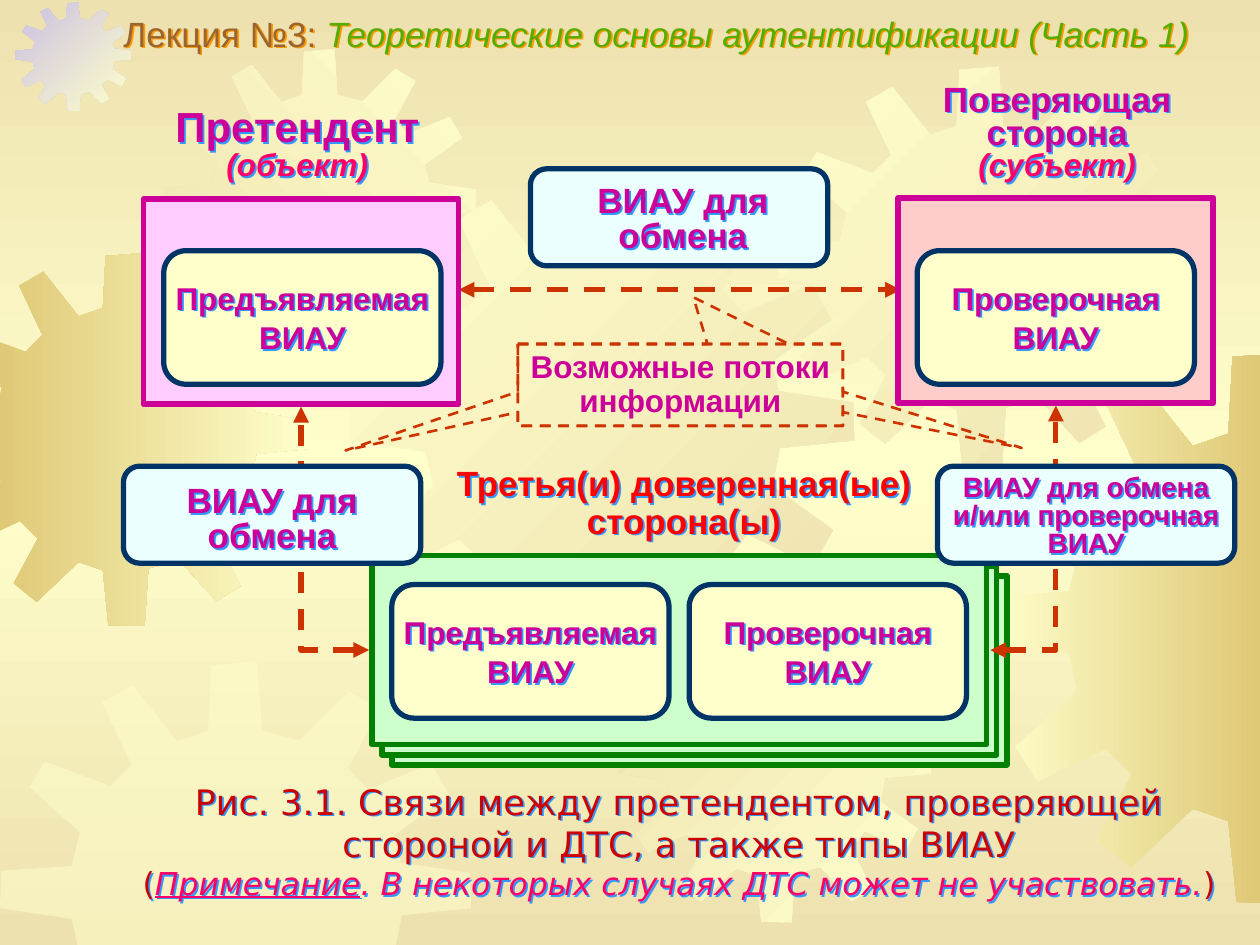
"""Builds the lecture slide on the links between the claimant, the verifier and the third party."""
import copy

import pptx
import pptx.dml.color
import pptx.enum.dml
import pptx.enum.shapes
import pptx.enum.text
import pptx.oxml
import pptx.oxml.ns
import pptx.util

Inches, Pt = pptx.util.Inches, pptx.util.Pt
RGB = pptx.dml.color.RGBColor
SHAPE = pptx.enum.shapes.MSO_SHAPE
LINK = pptx.enum.shapes.MSO_CONNECTOR
ANCHOR = pptx.enum.text.MSO_ANCHOR
ALIGN = pptx.enum.text.PP_ALIGN
qn = pptx.oxml.ns.qn

SAND, CREAM, GOLD = RGB(0xED, 0xE1, 0xAF), RGB(0xFF, 0xFF, 0xCC), RGB(0xDF, 0xC9, 0x77)
LILAC, ICE, MINT = RGB(0xCA, 0xC0, 0xE2), RGB(0xEB, 0xFF, 0xFF), RGB(0xCC, 0xFF, 0xCC)
PINK, ROSE = RGB(0xFF, 0xCC, 0xFF), RGB(0xFF, 0xCC, 0xCC)
PLUM, HOT, RED = RGB(0xCC, 0, 0x99), RGB(0xFF, 0, 0x66), RGB(0xFF, 0, 0)
WINE, RUST, BROWN = RGB(0xCC, 0, 0), RGB(0xCC, 0x33, 0), RGB(0x99, 0x66, 0x33)
GREEN, LEAF, NAVY = RGB(0, 0x80, 0), RGB(0x56, 0xAC, 0), RGB(0, 0x33, 0x66)
BLUE, AMBER = RGB(0x33, 0x99, 0xFF), RGB(0xFF, 0x99, 0)

GEAR_SIZE = 401
GEAR = [
    (255, 67), (223, 59), (219, 0), (180, 3), (177, 59), (151, 68), (113, 20), (87, 35),
    (112, 88), (94, 106), (38, 85), (25, 107), (68, 145), (61, 174), (1, 178), (0, 210),
    (61, 219), (67, 246), (22, 287), (38, 312), (88, 288), (107, 307), (81, 355), (106, 375),
    (151, 332), (177, 341), (183, 400), (222, 401), (226, 339), (259, 330), (299, 374), (325, 358),
    (299, 306), (316, 284), (368, 309), (384, 281), (336, 246), (342, 216), (401, 210), (400, 180),
    (341, 171), (335, 148), (383, 114), (367, 87), (313, 109), (296, 91), (323, 41), (297, 25),
]


def add_xml(parent, body):
    """Append a drawing element given as text."""
    space = pptx.oxml.ns.nsdecls("a")
    parent.append(pptx.oxml.parse_xml(body.replace(">", f" {space}>", 1)))


def blend(fill, colors, angle):
    """Give a fill a linear gradient, its angle counted clockwise."""
    fill.gradient()
    fill.gradient_angle = -angle % 360
    for stop, color in zip(fill.gradient_stops, colors):
        stop.color.rgb = color


def paint(slide):
    """Paint the background with a three-stop gradient."""
    fill = slide.background.fill
    fill.gradient()
    first = next(slide.element.iter(qn("a:gs")))
    middle = copy.deepcopy(first)
    middle.set("pos", "50000")
    first.addnext(middle)
    blend(fill, [SAND, CREAM, SAND], 90)


def clip(points, axis, limit, sign):
    """Cut a polygon at a limit on one axis, keeping the side named by the sign."""
    kept = []
    for a, b in zip(points[-1:] + points[:-1], points):
        da, db = sign * (a[axis] - limit), sign * (b[axis] - limit)
        if da * db < 0:
            part = da / (da - db)
            kept.append(tuple(p + part * (q - p) for p, q in zip(a, b)))
        if db >= 0:
            kept.append(b)
    return kept


def add_gear(slide, left, top, width, height, colors, angle=0):
    """Draw a gear trimmed to the slide edges."""
    points = [(left + x * width / GEAR_SIZE, top + y * height / GEAR_SIZE) for x, y in GEAR]
    for axis, limit, sign in [(0, 0, 1), (0, 10, -1), (1, 7.5, -1)]:
        points = clip(points, axis, limit, sign)
    points = [(Inches(x), Inches(y)) for x, y in points]
    pen = slide.shapes.build_freeform(*points[0])
    pen.add_line_segments(points[1:], close=True)
    gear = pen.convert_to_shape()
    gear.shadow.inherit = False
    gear.line.fill.background()
    if len(colors) > 1:
        blend(gear.fill, colors, angle)
    else:
        gear.fill.solid()
        gear.fill.fore_color.rgb = colors[0]
        tone = next(gear.element.spPr.iter(qn("a:srgbClr")))
        add_xml(tone, '<a:alpha val="50000"></a:alpha>')


def add_run(para, text, size=18, color=PLUM, face="Arial", bold=True, italic=False, under=False):
    """Add formatted text to a paragraph."""
    run = para.add_run()
    run.text = text
    font = run.font
    font.size, font.name, font.bold, font.italic = Pt(size), face, bold, italic
    font.underline = under
    font.color.rgb = color


def fill_text(shape, paras, gap=1.0, anchor=ANCHOR.TOP, align=ALIGN.CENTER):
    """Write paragraphs, each a list of text and format pairs, into a shape."""
    frame = shape.text_frame
    frame.word_wrap = True
    frame.auto_size = pptx.enum.text.MSO_AUTO_SIZE.NONE
    frame.vertical_anchor = anchor
    frame.margin_left = frame.margin_right = frame.margin_top = frame.margin_bottom = 0
    for i, runs in enumerate(paras):
        para = frame.add_paragraph() if i else frame.paragraphs[0]
        para.alignment, para.line_spacing = align, gap
        for text, style in runs:
            add_run(para, text, **style)


def cast(shape, color):
    """Give the text of an unfilled shape a small coloured shadow."""
    add_xml(shape.element.spPr, '<a:effectLst><a:outerShdw dist="17961" dir="2700000">'
            f'<a:srgbClr val="{color}"/></a:outerShdw></a:effectLst>')


def add_text(slide, at, paras, **style):
    """Add a text box with shadowed text."""
    box = slide.shapes.add_textbox(*map(Inches, at))
    cast(box, BLUE)
    fill_text(box, paras, **style)


def add_box(slide, kind, at, fill, edge, width):
    """Add an outlined preset shape, unfilled when the fill is None."""
    box = slide.shapes.add_shape(kind, *map(Inches, at))
    box.shadow.inherit = False
    if fill is None:
        box.fill.background()
    else:
        box.fill.solid()
        box.fill.fore_color.rgb = fill
    box.line.color.rgb = edge
    box.line.width = Pt(width)
    return box


def add_card(slide, left, top, words):
    """Add a cream card with its authentication data label."""
    add_box(slide, SHAPE.ROUNDED_RECTANGLE, (left, top, 2.2, 1.06), CREAM, NAVY, 3)
    add_text(slide, (left, top + 0.21, 2.2, 0.62), [[(word, {})] for word in words], gap=1.04)


def add_swap(slide, left, top, spot, text, size):
    """Add a pale card for the exchange data, with its text at a spot."""
    add_box(slide, SHAPE.ROUNDED_RECTANGLE, (left, top, 2.36, 0.77), ICE, NAVY, 3)
    add_text(slide, spot, [[(text, {"size": size})]], gap=Pt(size), anchor=ANCHOR.MIDDLE)


def add_flow(slide, ends, bent):
    """Add a dashed line with arrowheads at both ends."""
    kind = LINK.ELBOW if bent else LINK.STRAIGHT
    flow = slide.shapes.add_connector(kind, *map(Inches, ends))
    flow.line.color.rgb = RUST
    flow.line.width = Pt(3)
    flow.line.dash_style = pptx.enum.dml.MSO_LINE.DASH
    for tag in ("headEnd", "tailEnd"):
        add_xml(flow.line._get_or_add_ln(), f'<a:{tag} type="triangle"></a:{tag}>')
    add_xml(flow.element.spPr, "<a:effectLst></a:effectLst>")
    if bent:
        flow.element.spPr.find(qn("a:prstGeom")).set("prst", "bentConnector2")


def add_title(slide):
    """Fill the title placeholder and bring it above the gears."""
    title = slide.shapes.title
    title.left, title.top, title.width, title.height = map(Inches, (0.98, 0.13, 9.02, 0.31))
    cast(title, AMBER)
    plain = {"size": 20, "bold": False}
    fill_text(title, [[("Лекция №3: ", plain | {"color": BROWN}),
                       ("Теоретические основы аутентификации (Часть 1)",
                        plain | {"color": LEAF, "italic": True})]],
              gap=0.9, anchor=ANCHOR.MIDDLE, align=ALIGN.LEFT)
    title.element.getparent().append(title.element)


def add_caption(slide):
    """Add the figure caption with its note."""
    base = {"face": "DejaVu Sans", "bold": False, "color": WINE}
    note = base | {"color": HOT, "italic": True}
    add_text(slide, (1.06, 6.19, 8.66, 0.97), [
        [("Рис. 3.1. Связи между претендентом, проверяющей стороной и ДТС, а также типы ВИАУ",
          base | {"size": 20})],
        [("(", base), ("Примечание", note | {"under": True}),
         (". В некоторых случаях ДТС может не участвовать.", note), (")", base)],
    ], anchor=ANCHOR.MIDDLE)


def main():
    """Build and save the slide."""
    deck = pptx.Presentation()
    deck.slide_width, deck.slide_height = Inches(10), Inches(7.5)
    slide = deck.slides.add_slide(deck.slide_layouts[5])
    paint(slide)
    for gear in [(-0.49, 2.01, 2.96, 2.96, (GOLD, CREAM)), (0.12, 0.02, 0.92, 0.86, (LILAC, CREAM), 45),
                 (1.3, 0.39, 2.48, 2.48, (SAND, CREAM), 315), (2.77, 1.39, 4.01, 4.02, (CREAM, SAND), 45),
                 (0, 5.25, 3.74, 3.74, (CREAM,)), (4.91, 4.84, 2.48, 2.48, (SAND, CREAM), 45),
                 (6.18, 0.53, 3.2, 3.2, (CREAM, SAND), 45), (7.82, 2.8, 4.37, 4.37, (CREAM, GOLD))]:
        add_gear(slide, *gear)
    add_caption(slide)
    add_title(slide)

    shown, check = ["Предъявляемая ВИАУ"], ["Проверочная", "ВИАУ"]
    big, role = {"size": 20}, {"color": HOT, "italic": True}
    for step in (2, 1):
        at = (2.95 + 0.08 * step, 4.41 + 0.08 * step, 4.88, 1.5)
        add_box(slide, SHAPE.RECTANGLE, at, MINT, GREEN, 3.25)
    add_flow(slide, (3.64, 2.3, 7.15, 2.3), False)
    add_flow(slide, (7.86, 5.16, 8.38, 3.22), True)
    add_flow(slide, (2.93, 5.16, 2.39, 3.23), True)

    add_text(slide, (1.14, 0.86, 2.44, 0.6),
             [[("Претендент", {"size": 24})], [("(объект)", role)]], gap=0.85)
    add_text(slide, (7.13, 0.68, 2.52, 0.77),
             [[("Поверяющая сторона", big)], [("(субъект)", role)]], gap=0.8, anchor=ANCHOR.MIDDLE)
    for left, top, fill, inner, words in [(1.14, 1.58, PINK, 1.3, shown), (7.13, 1.57, ROSE, 7.28, check)]:
        add_box(slide, SHAPE.RECTANGLE, (left, top, 2.5, 1.63), fill, PLUM, 3.25)
        add_card(slide, inner, 1.99, words)

    third = big | {"color": RED}
    add_text(slide, (3.5, 3.7, 3.86, 0.6),
             [[("Третья(и) доверенная(ые)", third)], [("сторона(ы)", third)]], gap=0.9)
    add_box(slide, SHAPE.RECTANGLE, (2.95, 4.41, 4.88, 1.5), MINT, GREEN, 3.25)
    for tip in [(1.05, 0.77), (0.04, -1.07), (-1.03, 0.8)]:
        call = add_box(slide, SHAPE.RECTANGULAR_CALLOUT, (4.11, 2.73, 2.58, 0.65), None, RUST, 1.5)
        call.line.dash_style = pptx.enum.dml.MSO_LINE.DASH
        call.adjustments[0], call.adjustments[1] = tip
    fill_text(call, [[("Возможные потоки информации", {})]], gap=0.9, anchor=ANCHOR.MIDDLE)

    add_card(slide, 3.11, 4.64, shown)
    add_card(slide, 5.47, 4.64, check)
    for left, top, spot in [(4.21, 1.34, (4.32, 1.47, 2.2, 0.56)), (0.98, 3.7, (1.06, 3.85, 2.2, 0.56))]:
        add_swap(slide, left, top, spot, "ВИАУ для обмена", 20)
    add_swap(slide, 7.44, 3.7, (7.52, 3.77, 2.2, 0.67), "ВИАУ для обмена и/или проверочная ВИАУ", 16)
    deck.save("out.pptx")


if __name__ == "__main__":
    main()
